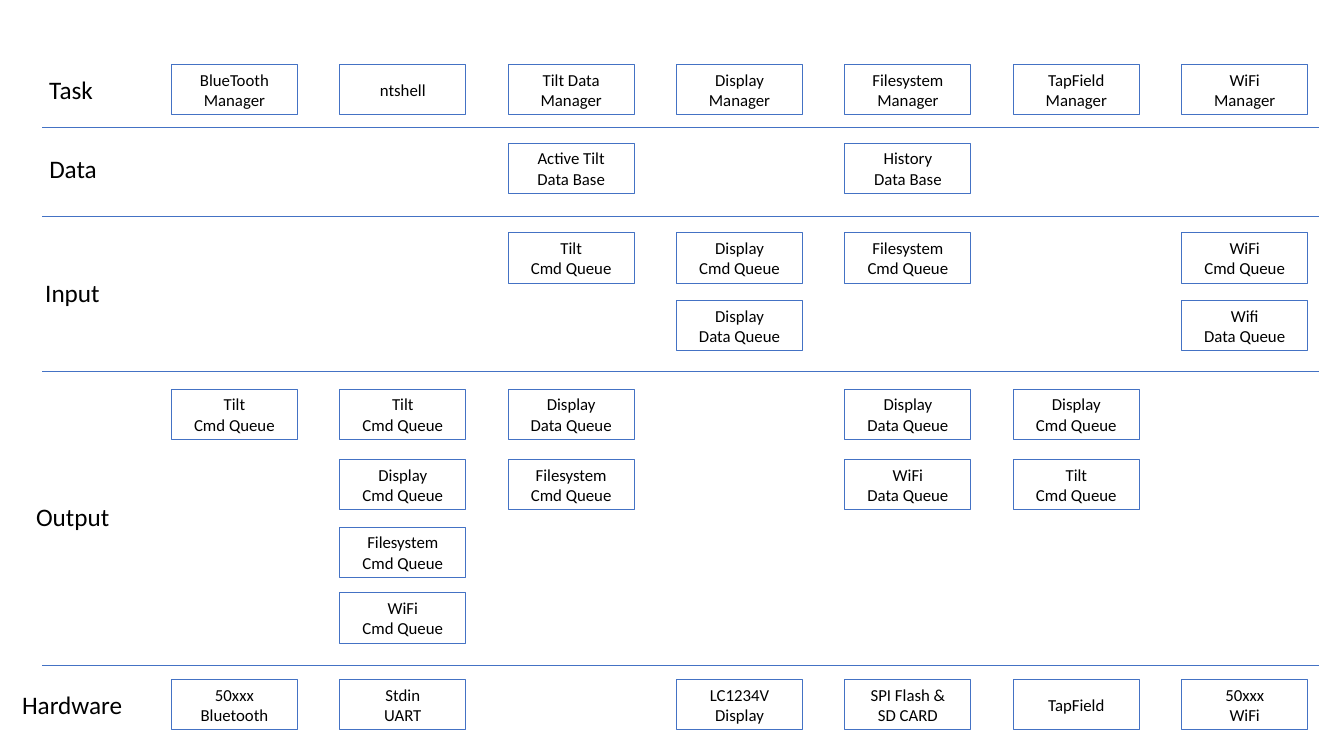
"""Build the slide of firmware tasks with their data, queues and hardware."""
import typing

import pptx
import pptx.dml.color
import pptx.enum.shapes
import pptx.enum.text
import pptx.oxml
import pptx.oxml.ns
import pptx.slide
import pptx.text.text
import pptx.util

Inches = pptx.util.Inches
Pt = pptx.util.Pt
BLUE = pptx.dml.color.RGBColor(0x44, 0x72, 0xC4)
BLACK = pptx.dml.color.RGBColor(0, 0, 0)
FONT = "Calibri"
CENTER = pptx.enum.text.PP_ALIGN.CENTER
LEFT = pptx.enum.text.PP_ALIGN.LEFT

START, PITCH = 1.7, 1.67
BOX_W, BOX_H = 1.25, 0.5
LABEL_H = 0.4
RULE_X1, RULE_X2 = 0.42, 13.08


class Label(typing.NamedTuple):
    text: str
    left: float
    top: float
    width: float


class Row(typing.NamedTuple):
    top: float
    cells: dict[int, tuple[str, ...]]


TILT = ("Tilt", "Cmd Queue")
SHOW = ("Display", "Cmd Queue")
SHOW_DATA = ("Display", "Data Queue")
FILES = ("Filesystem", "Cmd Queue")
WIFI = ("WiFi", "Cmd Queue")

LABELS = [
    Label("Task", 0.39, 0.69, 0.64),
    Label("Data", 0.39, 1.47, 0.68),
    Label("Input", 0.35, 2.7, 0.75),
    Label("Output", 0.26, 4.92, 0.94),
    Label("Hardware", 0.12, 6.79, 1.21),
]
RULES = [1.26, 2.15, 3.68, 6.6]
ROWS = [
    Row(0.64, {
        0: ("BlueTooth", "Manager"),
        1: ("ntshell",),
        2: ("Tilt Data", "Manager"),
        3: ("Display", "Manager"),
        4: ("Filesystem", "Manager"),
        5: ("TapField", "Manager"),
        6: ("WiFi", "Manager"),
    }),
    Row(1.42, {2: ("Active Tilt", "Data Base"), 4: ("History", "Data Base")}),
    Row(2.31, {2: TILT, 3: SHOW, 4: FILES, 6: WIFI}),
    Row(2.98, {3: SHOW_DATA, 6: ("Wifi", "Data Queue")}),
    Row(3.86, {0: TILT, 1: TILT, 2: SHOW_DATA, 4: SHOW_DATA, 5: SHOW}),
    Row(4.56, {1: SHOW, 2: FILES, 4: ("WiFi", "Data Queue"), 5: TILT}),
    Row(5.23, {1: FILES}),
    Row(5.88, {1: WIFI}),
    Row(6.74, {
        0: ("50xxx", "Bluetooth"),
        1: ("Stdin", "UART"),
        3: ("LC1234V", "Display"),
        4: ("SPI Flash &", "SD CARD"),
        5: ("TapField",),
        6: ("50xxx", "WiFi"),
    }),
]


def write(frame: pptx.text.text.TextFrame, lines: tuple[str, ...],
          size: int, align: pptx.enum.text.PP_ALIGN) -> None:
    frame.word_wrap = False
    frame.vertical_anchor = pptx.enum.text.MSO_ANCHOR.MIDDLE
    for i, line in enumerate(lines):
        para = frame.add_paragraph() if i else frame.paragraphs[0]
        para.alignment = align
        run = para.add_run()
        run.text = line
        run.font.name = FONT
        run.font.size = Pt(size)
        run.font.color.rgb = BLACK


def draw_box(slide: pptx.slide.Slide, left: float, top: float,
             lines: tuple[str, ...]) -> None:
    box = slide.shapes.add_shape(
        pptx.enum.shapes.MSO_SHAPE.RECTANGLE,
        Inches(left), Inches(top), Inches(BOX_W), Inches(BOX_H))
    box.shadow.inherit = False
    box.fill.background()
    box.line.color.rgb = BLUE
    box.line.width = Pt(0.75)
    write(box.text_frame, lines, 12, CENTER)


def draw_label(slide: pptx.slide.Slide, label: Label) -> None:
    box = slide.shapes.add_textbox(
        Inches(label.left), Inches(label.top),
        Inches(label.width), Inches(LABEL_H))
    write(box.text_frame, (label.text,), 18, LEFT)
    box.text_frame.auto_size = pptx.enum.text.MSO_AUTO_SIZE.SHAPE_TO_FIT_TEXT


def draw_rule(slide: pptx.slide.Slide, y: float) -> None:
    rule = slide.shapes.add_connector(
        pptx.enum.shapes.MSO_CONNECTOR.STRAIGHT,
        Inches(RULE_X1), Inches(y), Inches(RULE_X2), Inches(y))
    rule.line.color.rgb = BLUE
    rule.line.width = Pt(0.5)
    props = rule._element.spPr
    props.append(pptx.oxml.parse_xml(
        f"<a:effectLst {pptx.oxml.ns.nsdecls('a')}/>"))


def main() -> None:
    deck = pptx.Presentation()
    deck.slide_width = Inches(13.33)
    deck.slide_height = Inches(7.5)
    slide = deck.slides.add_slide(deck.slide_layouts[6])
    for y in RULES:
        draw_rule(slide, y)
    for label in LABELS:
        draw_label(slide, label)
    for row in ROWS:
        for col, lines in row.cells.items():
            draw_box(slide, START + col * PITCH, row.top, lines)
    deck.save("out.pptx")


if __name__ == "__main__":
    main()
